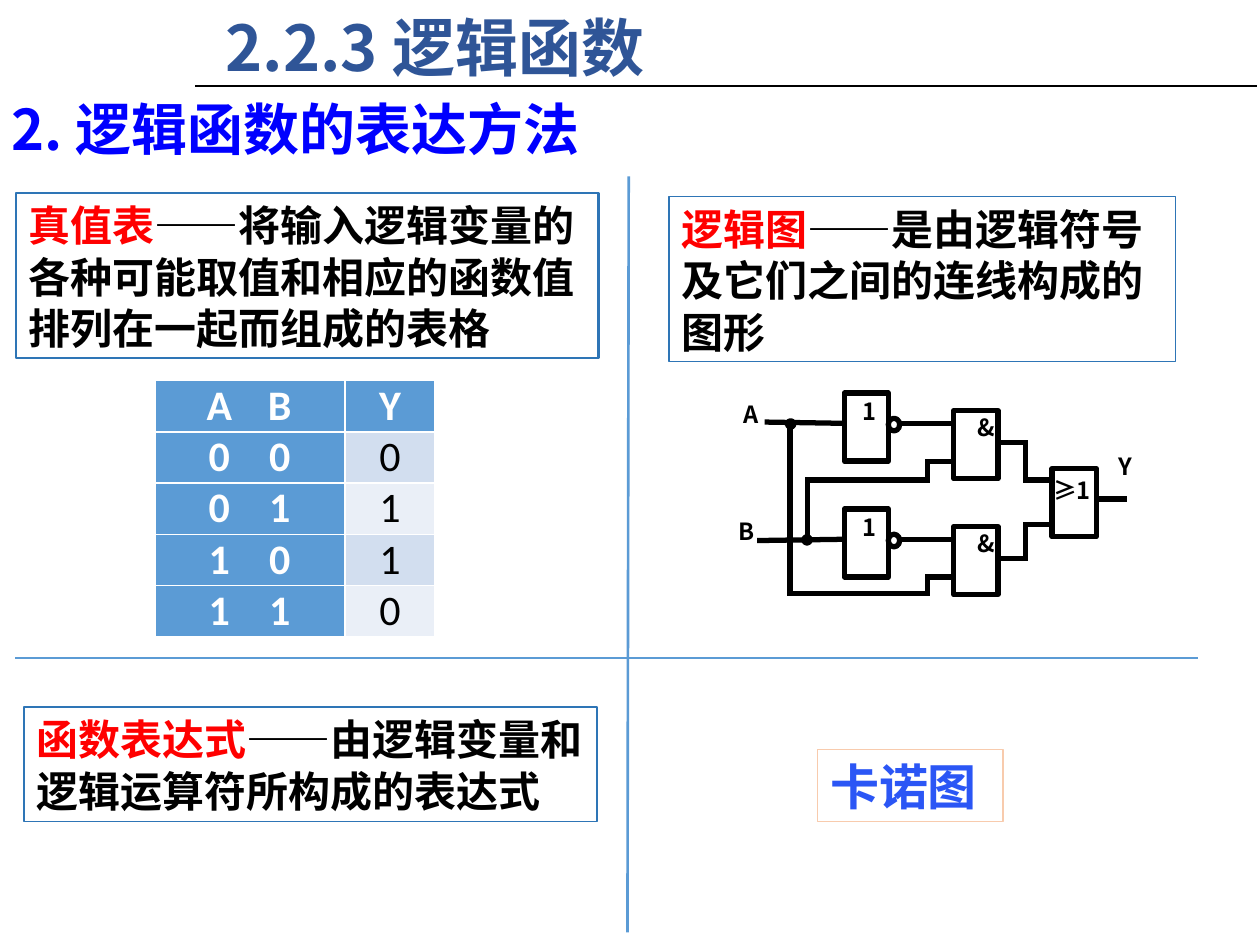
from itertools import pairwise

from lxml.etree import SubElement
from pptx import Presentation
from pptx.dml.color import RGBColor
from pptx.enum.shapes import MSO_CONNECTOR, MSO_SHAPE
from pptx.enum.text import MSO_ANCHOR, MSO_AUTO_SIZE, PP_ALIGN
from pptx.oxml.ns import qn
from pptx.util import Pt

COLUMNS, ROWS = 10, 7.5
NOTO, CALIBRI, ARIAL = "Noto Sans CJK SC", "Calibri", "Arial"
BLACK, WHITE, RED, BLUE, BORDER = "000000", "FFFFFF", "FF0000", "5B9BD5", "2E75B6"


def color(value):
    return RGBColor.from_string(value)


def set_values(target, values):
    for name, value in values.items():
        setattr(target, name, value)


class SlideBuilder:
    """Draws styled elements on one slide, measured in grid columns and rows."""

    line_factor = 1.22
    wire_width = 3
    gate_size = (0.35, 0.54)

    def __init__(self, presentation):
        self.slide = presentation.slides.add_slide(presentation.slide_layouts[5])
        self.column = presentation.slide_width / COLUMNS
        self.row = presentation.slide_height / ROWS

    def place(self, left, top, *size):
        units = (self.column, self.row) * 2
        return [round(value * unit) for value, unit in zip((left, top, *size), units)]

    def add_run(self, paragraph, text, size, font, shade, bold=True):
        run = paragraph.add_run()
        run.text = text
        set_values(run.font, {"name": font, "size": Pt(size), "bold": bold})
        run.font.color.rgb = color(shade)

    def fill_text(self, shape, size, runs, **frame_values):
        frame = shape.text_frame
        set_values(frame, {"word_wrap": True, "auto_size": MSO_AUTO_SIZE.NONE,
                           "vertical_anchor": MSO_ANCHOR.TOP, **frame_values})
        paragraph = frame.paragraphs[0]
        set_values(paragraph, {"alignment": PP_ALIGN.LEFT,
                               "line_spacing": Pt(round(size * self.line_factor, 1))})
        for text, font, shade in runs:
            self.add_run(paragraph, text, size, font, shade)

    def title(self, box, text, size, shade):
        title = self.slide.shapes.title
        set_values(title, dict(zip(("left", "top", "width", "height"), self.place(*box))))
        self.fill_text(title, size, [(text, NOTO, shade)])

    def text(self, box, text, size, shade, **frame_values):
        shape = self.slide.shapes.add_textbox(*self.place(*box))
        self.fill_text(shape, size, [(text, NOTO, shade)], **frame_values)

    def label(self, box, text):
        self.text(box, text, 13.5, BLACK, margin_right=0)

    def shape(self, kind, box, line, width, fill=None):
        shape = self.slide.shapes.add_shape(kind, *self.place(*box))
        shape.shadow.inherit = False
        if fill:
            shape.fill.solid()
            shape.fill.fore_color.rgb = color(fill)
        else:
            shape.fill.background()
        shape.line.color.rgb = color(line)
        shape.line.width = Pt(width)
        return shape

    def note(self, box, size, runs, line=BORDER, width=1):
        shape = self.shape(MSO_SHAPE.RECTANGLE, box, line, width)
        self.fill_text(shape, size, runs)

    def line(self, start, end, shade, width):
        connector = self.slide.shapes.add_connector(
            MSO_CONNECTOR.STRAIGHT, *self.place(*start), *self.place(*end))
        connector.line.color.rgb = color(shade)
        connector.line.width = Pt(width)
        properties = connector._element.spPr
        properties.find(qn("a:ln")).set("cap", "sq")
        SubElement(properties, qn("a:effectLst"))

    def wire(self, *points):
        for start, end in pairwise(points):
            self.line(start, end, BLACK, self.wire_width)

    def circle(self, box, fill):
        self.shape(MSO_SHAPE.OVAL, box, BLACK, self.wire_width, fill)

    def gate(self, left, top, text, label_box, inverted=False):
        width, height = self.gate_size
        self.shape(MSO_SHAPE.RECTANGLE, (left, top, width, height),
                   BLACK, self.wire_width, WHITE)
        if inverted:
            self.circle((left + width, top + 0.2, 0.09, 0.1), WHITE)
        shift_x, shift_y, label_width = label_box
        self.label((left + shift_x, top + shift_y, label_width, 0.51), text)

    def truth_table(self, box, widths, records):
        table = self.slide.shapes.add_table(
            len(records), len(widths), *self.place(*box)).table
        table.first_col = True
        for column, width in zip(table.columns, widths):
            column.width = round(width * self.column)
        for index, (inputs, output) in enumerate(records):
            header = index == 0
            band = "D2DEEF" if index % 2 else "EAEFF7"
            self.cell(table.cell(index, 0), inputs, BLUE, WHITE, True)
            self.cell(table.cell(index, 1), output, BLUE if header else band,
                      WHITE if header else BLACK, header)

    def cell(self, cell, values, fill, shade, bold):
        margin = round(0.06 * self.column)
        set_values(cell, {"margin_left": margin, "margin_right": margin,
                          "margin_top": 0, "margin_bottom": 0})
        cell.fill.solid()
        cell.fill.fore_color.rgb = color(fill)
        paragraph = cell.text_frame.paragraphs[0]
        paragraph.alignment = PP_ALIGN.CENTER
        text = values
        if len(values) > 1:
            paragraph.alignment = PP_ALIGN.LEFT
            tabs = SubElement(paragraph._p.get_or_add_pPr(), qn("a:tabLst"))
            for position in (0.45, 0.93):
                SubElement(tabs, qn("a:tab"), algn="ctr",
                           pos=str(round(position * self.column)))
            text = "".join(f"\t{value}" for value in values)
        self.add_run(paragraph, text, 24, CALIBRI, shade, bold)


def draw_circuit(builder):
    pitch = 0.92
    for shift in (0, pitch):
        builder.wire((7.14, 3.36 + shift), (7.57, 3.36 + shift))
    builder.wire((6.09, 3.35), (6.7, 3.36))
    builder.wire((6.03, 4.29), (6.7, 4.28))
    builder.wire((6.41, 4.28), (6.41, 3.81), (7.36, 3.81), (7.36, 3.66), (7.57, 3.66))
    builder.wire((6.27, 3.37), (6.27, 4.71), (7.36, 4.71), (7.36, 4.58), (7.57, 4.58))
    builder.wire((7.93, 3.51), (8.14, 3.51), (8.14, 3.81), (8.35, 3.81))
    builder.wire((7.93, 4.43), (8.14, 4.43), (8.14, 4.16), (8.35, 4.16))
    builder.wire((8.7, 3.96), (8.92, 3.96))
    for shift in (0, pitch):
        builder.gate(6.7, 3.12 + shift, "1", (0.05, -0.02, 0.19), inverted=True)
        builder.gate(7.57, 3.26 + shift, "&", (0.09, -0.04, 0.35))
    builder.gate(8.35, 3.72, "≥1", (-0.09, 0, 0.62))
    for left, top in ((6.25, 3.34), (6.38, 4.26)):
        builder.circle((left, top, 0.05, 0.05), BLACK)
    for text, left, top in (("A", 5.8, 3.12), ("B", 5.76, 4.05), ("Y", 8.78, 3.53)):
        builder.label((left, top, 0.32, 0.51), text)


def main():
    presentation = Presentation()
    presentation.slide_width = Pt(720)
    presentation.slide_height = Pt(540)
    builder = SlideBuilder(presentation)
    builder.title((1.69, 0.01, 5.12, 0.71), "2.2.3 逻辑函数", 36, "2F5597")
    builder.text((-0.01, 0.69, 5.81, 0.64), "2. 逻辑函数的表达方法", 32, "0000FF")
    builder.note((5.31, 1.56, 4.02, 1.31), 24, [
        ("逻辑图", NOTO, RED),
        ("——是由逻辑符号及它们之间的连线构成的图形", NOTO, BLACK)])
    builder.note((0.13, 1.53, 4.62, 1.31), 24, [
        ("真值表", NOTO, RED),
        ("——将输入逻辑变量的各种可能取值和相应的函数值排列在一起而组成的表格", NOTO, BLACK),
    ], width=1.25)
    builder.note((0.19, 5.61, 4.55, 0.91), 24, [
        ("函数表达式", CALIBRI, RED), ("——", ARIAL, BLACK),
        ("由逻辑变量和逻辑运算符所构成的表达式", CALIBRI, BLACK)])
    builder.note((6.49, 5.95, 1.47, 0.57), 28, [("卡诺图", CALIBRI, "2B56F5")],
                 line="F8CBAD", width=0.75)
    draw_circuit(builder)
    builder.truth_table((1.23, 3.02, 2.22, 2), (1.51, 0.71), [
        ("AB", "Y"), ("00", "0"), ("01", "1"), ("10", "1"), ("11", "0")])
    builder.line((4.99, 1.41), (4.98, 7.39), BLUE, 1.5)
    builder.line((0.13, 5.22), (9.5, 5.22), BLUE, 1.25)
    builder.line((1.56, 0.68), (9.97, 0.68), BLACK, 1.25)
    presentation.save("out.pptx")


if __name__ == "__main__":
    main()
